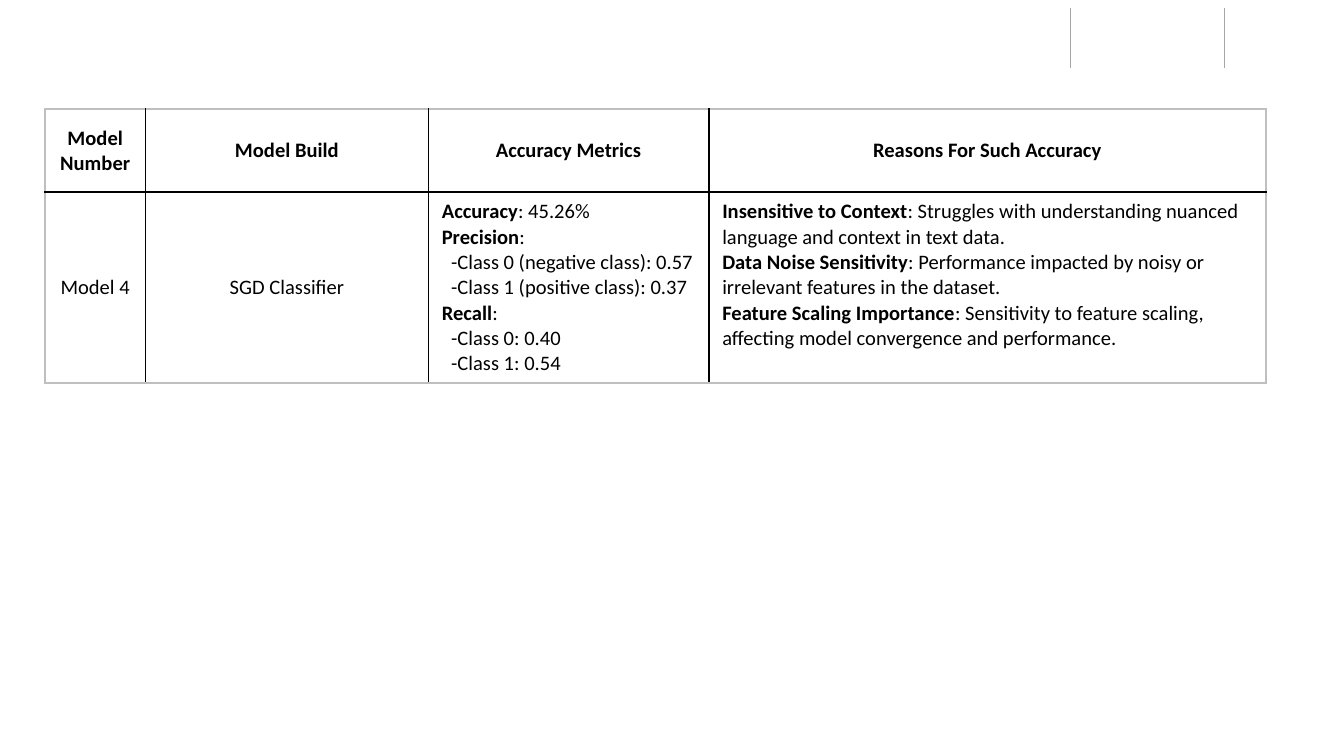
import dataclasses
import typing

import lxml.etree
import pptx
import pptx.dml.color
import pptx.enum.shapes
import pptx.enum.text
import pptx.oxml
import pptx.oxml.ns
import pptx.util

Pt = pptx.util.Pt
RGB = pptx.dml.color.RGBColor
Align = pptx.enum.text.PP_ALIGN
Anchor = pptx.enum.text.MSO_ANCHOR
qn = pptx.oxml.ns.qn


@dataclasses.dataclass(frozen=True)
class Theme:
    font: str = "Calibri"
    size: float = 11
    text: str = "000000"
    fill: str = "FFFFFF"
    inner: str = "000000"
    outer: str = "BFBFBF"
    rule: str = "A6A6A6"
    border_width: float = 1
    rule_width: float = 0.75


class Line(typing.NamedTuple):
    label: str = ""
    detail: str = ""
    indent: float = 0


class Cell(typing.NamedTuple):
    lines: list[Line]
    align: Align = Align.CENTER
    anchor: Anchor = Anchor.MIDDLE


class Rule(typing.NamedTuple):
    x: float
    top: float = 4.3
    bottom: float = 36.7


THEME = Theme()
INDENT = 5
COLUMNS = [54, 151.5, 150.25, 298.5]
ROWS = [44.5, 102]
RULES = [Rule(573.4), Rule(656)]
HEADERS = ["Model Number", "Model Build", "Accuracy Metrics", "Reasons For Such Accuracy"]
METRICS = [
    Line("Accuracy", ": 45.26%"),
    Line("Precision", ":"),
    Line(detail="-Class 0 (negative class): 0.57", indent=INDENT),
    Line(detail="-Class 1 (positive class): 0.37", indent=INDENT),
    Line("Recall", ":"),
    Line(detail="-Class 0: 0.40", indent=INDENT),
    Line(detail="-Class 1: 0.54", indent=INDENT),
]
REASONS = [
    Line("Insensitive to Context",
         ": Struggles with understanding nuanced language and context in text data."),
    Line("Data Noise Sensitivity",
         ": Performance impacted by noisy or irrelevant features in the dataset."),
    Line("Feature Scaling Importance",
         ": Sensitivity to feature scaling, affecting model convergence and performance."),
]
GRID = [
    [Cell([Line(header)]) for header in HEADERS],
    [
        Cell([Line(detail="Model 4")]),
        Cell([Line(detail="SGD Classifier")]),
        Cell(METRICS, Align.LEFT),
        Cell(REASONS, Align.LEFT, Anchor.TOP),
    ],
]


def draw_rule(slide, rule: Rule) -> None:
    line = slide.shapes.add_connector(
        pptx.enum.shapes.MSO_CONNECTOR.STRAIGHT,
        Pt(rule.x), Pt(rule.top), Pt(rule.x), Pt(rule.bottom))
    line.line.color.rgb = RGB.from_string(THEME.rule)
    line.line.width = Pt(THEME.rule_width)
    lxml.etree.SubElement(line._element.spPr, qn("a:effectLst"))


def set_borders(cell, colors: dict[str, str]) -> None:
    tcPr = cell._tc.get_or_add_tcPr()
    for i, (side, color) in enumerate(colors.items()):
        ln = lxml.etree.Element(qn(f"a:ln{side}"), w=str(Pt(THEME.border_width)))
        fill = lxml.etree.SubElement(ln, qn("a:solidFill"))
        lxml.etree.SubElement(fill, qn("a:srgbClr"), val=color)
        tcPr.insert(i, ln)


def write_line(p, line: Line, align: Align) -> None:
    p.alignment = align
    p.font.name = THEME.font
    p.font.size = Pt(THEME.size)
    p.font.color.rgb = RGB.from_string(THEME.text)
    if line.indent:
        p._p.get_or_add_pPr().set("marL", str(Pt(line.indent)))
    for text, bold in ((line.label, True), (line.detail, False)):
        if text:
            r = p.add_run()
            r.text = text
            r.font.bold = bold


def fill_cell(cell, content: Cell) -> None:
    cell.fill.solid()
    cell.fill.fore_color.rgb = RGB.from_string(THEME.fill)
    cell.vertical_anchor = content.anchor
    tf = cell.text_frame
    for i, line in enumerate(content.lines):
        p = tf.add_paragraph() if i else tf.paragraphs[0]
        write_line(p, line, content.align)


def draw_table(slide, grid: list[list[Cell]], left: float, top: float) -> None:
    table = slide.shapes.add_table(
        len(ROWS), len(COLUMNS), Pt(left), Pt(top), Pt(sum(COLUMNS)), Pt(sum(ROWS))).table
    table.first_row = False
    table.horz_banding = False
    for column, width in zip(table.columns, COLUMNS):
        column.width = Pt(width)
    for row, height in zip(table.rows, ROWS):
        row.height = Pt(height)
    for i, row in enumerate(grid):
        for j, content in enumerate(row):
            cell = table.cell(i, j)
            fill_cell(cell, content)
            on_edge = {"L": j == 0, "R": j == len(COLUMNS) - 1,
                       "T": i == 0, "B": i == len(ROWS) - 1}
            set_borders(cell, {side: THEME.outer if edge else THEME.inner
                               for side, edge in on_edge.items()})


def main() -> None:
    prs = pptx.Presentation()
    prs.slide_width, prs.slide_height = Pt(720), Pt(405)
    slide = prs.slides.add_slide(prs.slide_layouts[6])
    for rule in RULES:
        draw_rule(slide, rule)
    draw_table(slide, GRID, left=24, top=58.5)
    prs.save("out.pptx")


if __name__ == "__main__":
    main()
